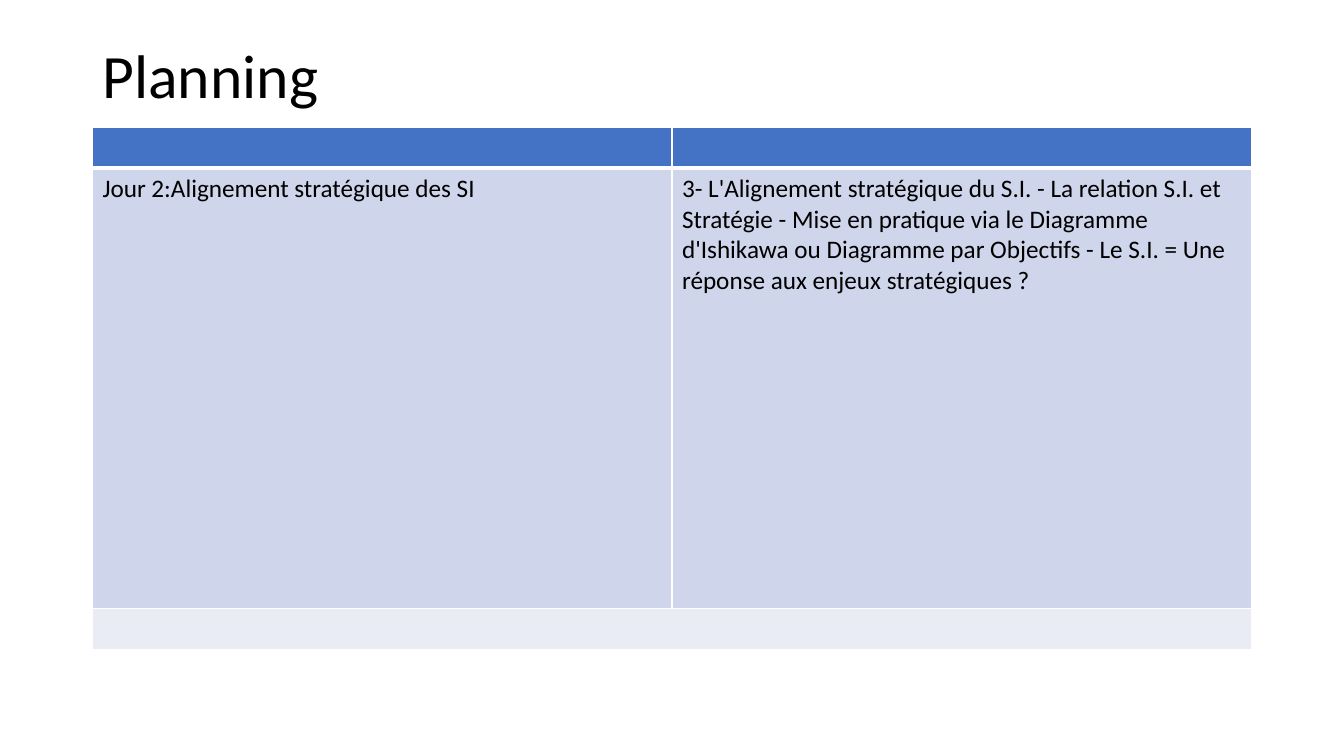
import pptx
import pptx.util
import pptx.dml.color
import pptx.enum.text
import pptx.oxml
import pptx.oxml.ns
from pptx.util import Cm, Pt

TITLE = "Planning"
ROWS = [
    ("", ""),
    ("Jour 2:Alignement stratégique des SI",
     "3- L'Alignement stratégique du S.I. - La relation S.I. et Stratégie - "
     "Mise en pratique via le Diagramme d'Ishikawa ou Diagramme par Objectifs - "
     "Le S.I. = Une réponse aux enjeux stratégiques ?"),
    ("", ""),
]
ROW_HEIGHTS = [1, 11.1, 1]
ROW_FILLS = ["header", "band", "light"]
COLORS = {"header": "4472C4", "band": "CFD5EA", "light": "E9EBF5",
          "border": "FFFFFF", "text": "000000"}
FONT = "Calibri"
LEFT, WIDTH = 2.33, 29.21
TITLE_TOP, TITLE_HEIGHT = 1.01, 3.68
TABLE_TOP = 3.21


def color(name):
    return pptx.dml.color.RGBColor.from_string(COLORS[name])


def set_font(para, size):
    para.font.name = FONT
    para.font.size = Pt(size)
    para.font.bold = False
    para.font.color.rgb = color("text")


def set_borders(cell, widths):
    """Draw the cell's sides; widths maps side letters to points."""
    properties = cell._tc.get_or_add_tcPr()
    for position, (side, width) in enumerate(widths.items()):
        line = pptx.oxml.parse_xml(
            f'<a:ln{side} {pptx.oxml.ns.nsdecls("a")} w="{Pt(width)}">'
            f'<a:solidFill><a:srgbClr val="{COLORS["border"]}"/></a:solidFill>'
            f'</a:ln{side}>')
        properties.insert(position, line)


def add_title(page):
    title = page.shapes.title
    title.left, title.top = Cm(LEFT), Cm(TITLE_TOP)
    title.width, title.height = Cm(WIDTH), Cm(TITLE_HEIGHT)
    frame = title.text_frame
    frame.text = TITLE
    frame.auto_size = pptx.enum.text.MSO_AUTO_SIZE.NONE
    frame.vertical_anchor = pptx.enum.text.MSO_ANCHOR.TOP
    para = frame.paragraphs[0]
    para.alignment = pptx.enum.text.PP_ALIGN.LEFT
    para.line_spacing = 0.9
    set_font(para, 44)


def add_planning_table(page):
    columns = len(ROWS[0])
    table = page.shapes.add_table(
        len(ROWS), columns, Cm(LEFT), Cm(TABLE_TOP),
        Cm(WIDTH), Cm(sum(ROW_HEIGHTS))).table
    for r, (texts, height, fill) in enumerate(zip(ROWS, ROW_HEIGHTS, ROW_FILLS)):
        table.rows[r].height = Cm(height)
        top = 3 if r == 1 else 1
        bottom = 3 if r == 0 else 1
        for c, text in enumerate(texts):
            cell = table.cell(r, c)
            cell.text = text
            set_font(cell.text_frame.paragraphs[0], 18)
            cell.fill.solid()
            cell.fill.fore_color.rgb = color(fill)
            set_borders(cell, {"L": 1, "R": 1, "T": top, "B": bottom})
    last = len(ROWS) - 1
    table.cell(last, 0).merge(table.cell(last, columns - 1))


def main():
    deck = pptx.Presentation()
    deck.slide_width, deck.slide_height = Cm(33.87), Cm(19.05)
    page = deck.slides.add_slide(deck.slide_layouts.get_by_name("Title Only"))
    add_title(page)
    add_planning_table(page)
    deck.save("out.pptx")


if __name__ == "__main__":
    main()
